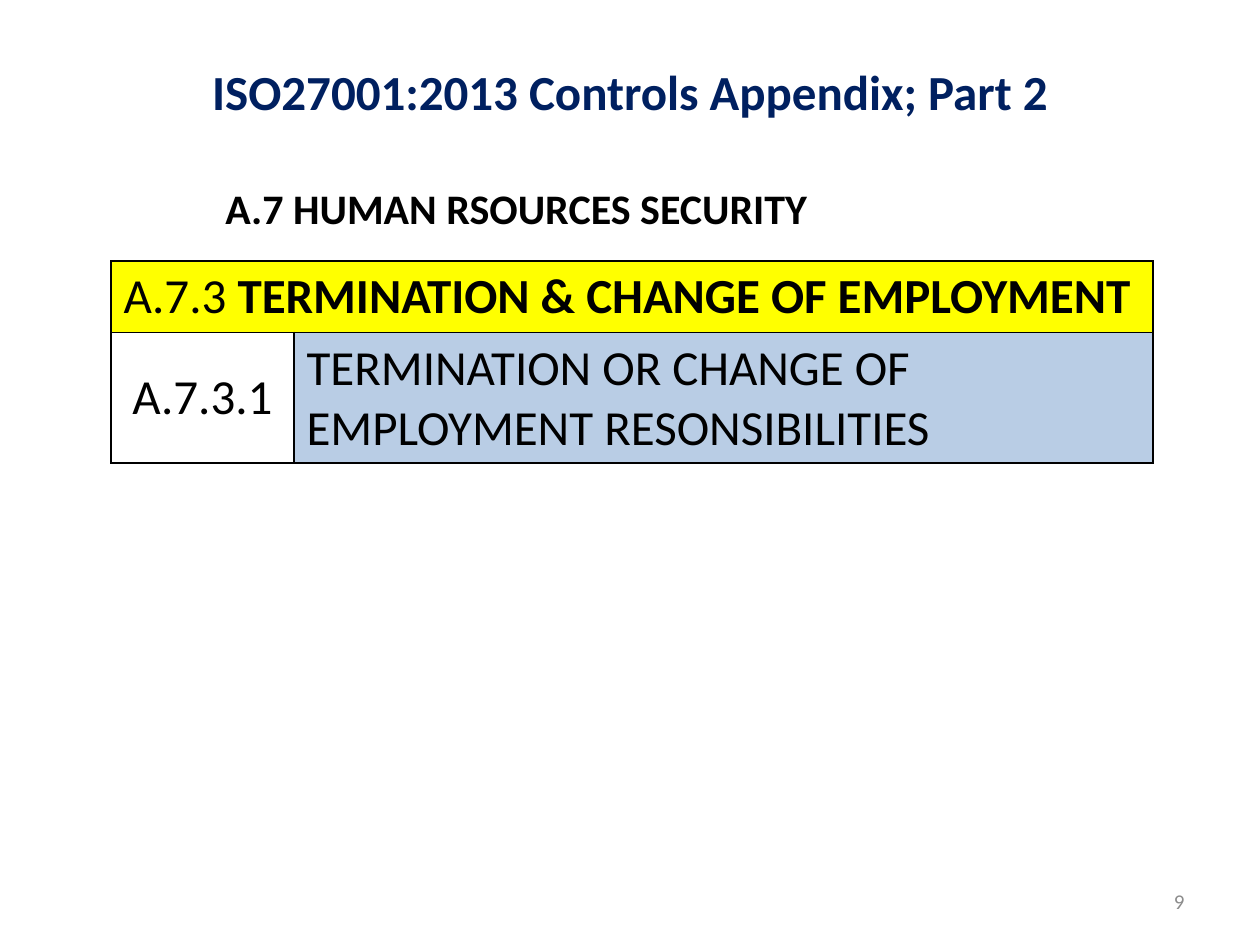
from dataclasses import dataclass

from lxml.etree import SubElement
from pptx import Presentation
from pptx.dml.color import RGBColor
from pptx.enum.text import MSO_ANCHOR as Anchor, PP_ALIGN as Align
from pptx.oxml.ns import qn
from pptx.slide import Slide
from pptx.table import _Cell as Cell
from pptx.text.text import TextFrame
from pptx.util import Emu, Pt

EMU_PER_PX = 914400 / 126
COLORS = {
    "navy": "002060",
    "black": "000000",
    "gray": "8C8C8C",
    "yellow": "FFFF00",
    "blue": "B9CDE5",
}


@dataclass(frozen=True)
class Span:
    text: str
    size: int = 28
    color: str = "black"
    bold: bool = False


@dataclass(frozen=True)
class Label:
    left: int
    top: int
    width: int
    height: int
    span: Span
    align: Align = Align.LEFT
    anchor: Anchor = Anchor.MIDDLE
    wrap: bool = True


@dataclass(frozen=True)
class Entry:
    row: int
    column: int
    spans: tuple[Span, ...]
    fill: str | None = None
    align: Align = Align.LEFT
    anchor: Anchor = Anchor.MIDDLE


LABELS = (
    Label(903, 876, 294, 50, Span("9", 12, "gray"), Align.RIGHT),
    Label(63, 29, 1134, 123,
          Span("ISO27001:2013 Controls Appendix; Part 2", 28, "navy", True), Align.CENTER),
    Label(213, 176, 612, 63, Span("A.7 HUMAN RSOURCES SECURITY", 24, bold=True),
          anchor=Anchor.TOP, wrap=False),
)
TABLE_LEFT, TABLE_TOP = 111, 261
COLUMNS = (183, 859)
ROWS = (71, 130)
ENTRIES = (
    Entry(0, 0, (Span("A.7.3 "), Span("TERMINATION & CHANGE OF EMPLOYMENT", bold=True)),
          "yellow", anchor=Anchor.TOP),
    Entry(1, 0, (Span("A.7.3.1"),), align=Align.CENTER),
    Entry(1, 1, (Span("TERMINATION OR CHANGE OF EMPLOYMENT RESONSIBILITIES"),), "blue"),
)


def px(length: int) -> Emu:
    """Turn pixels into EMU."""
    return Emu(round(length * EMU_PER_PX))


def rgb(name: str) -> RGBColor:
    """Look up a named colour."""
    return RGBColor.from_string(COLORS[name])


def write(frame: TextFrame, spans: tuple[Span, ...], align: Align) -> None:
    """Write one aligned paragraph of formatted spans."""
    para = frame.paragraphs[0]
    para.alignment = align
    for span in spans:
        run = para.add_run()
        run.text = span.text
        values = {"name": "Calibri", "size": Pt(span.size), "bold": span.bold}
        for attribute, value in values.items():
            setattr(run.font, attribute, value)
        run.font.color.rgb = rgb(span.color)


def add_label(page: Slide, label: Label) -> None:
    """Place a text box on the page."""
    box = page.shapes.add_textbox(
        px(label.left), px(label.top), px(label.width), px(label.height))
    values = {"word_wrap": label.wrap, "vertical_anchor": label.anchor}
    for attribute, value in values.items():
        setattr(box.text_frame, attribute, value)
    write(box.text_frame, (label.span,), label.align)


def add_borders(cell: Cell) -> None:
    """Give a cell a thin black line on every side."""
    properties = cell._tc.get_or_add_tcPr()
    for position, side in enumerate(("lnL", "lnR", "lnT", "lnB")):
        line = SubElement(properties, qn(f"a:{side}"), w=str(Pt(1)))
        fill = SubElement(line, qn("a:solidFill"))
        SubElement(fill, qn("a:srgbClr"), val=COLORS["black"])
        properties.insert(position, line)


def add_controls(page: Slide) -> None:
    """Draw the table of controls."""
    table = page.shapes.add_table(
        len(ROWS), len(COLUMNS), px(TABLE_LEFT), px(TABLE_TOP),
        px(sum(COLUMNS)), px(sum(ROWS))).table
    for column, width in zip(table.columns, COLUMNS):
        column.width = px(width)
    for row, height in zip(table.rows, ROWS):
        row.height = px(height)
    for cell in table.iter_cells():
        cell.fill.background()
        add_borders(cell)
    table.cell(0, 0).merge(table.cell(0, 1))
    for entry in ENTRIES:
        cell = table.cell(entry.row, entry.column)
        cell.vertical_anchor = entry.anchor
        if entry.fill:
            cell.fill.solid()
            cell.fill.fore_color.rgb = rgb(entry.fill)
        write(cell.text_frame, entry.spans, entry.align)


def main() -> None:
    """Build and save the deck."""
    deck = Presentation()
    deck.slide_width, deck.slide_height = px(1260), px(945)
    page = deck.slides.add_slide(deck.slide_layouts[6])
    for label in LABELS:
        add_label(page, label)
    add_controls(page)
    deck.save("out.pptx")


if __name__ == "__main__":
    main()
